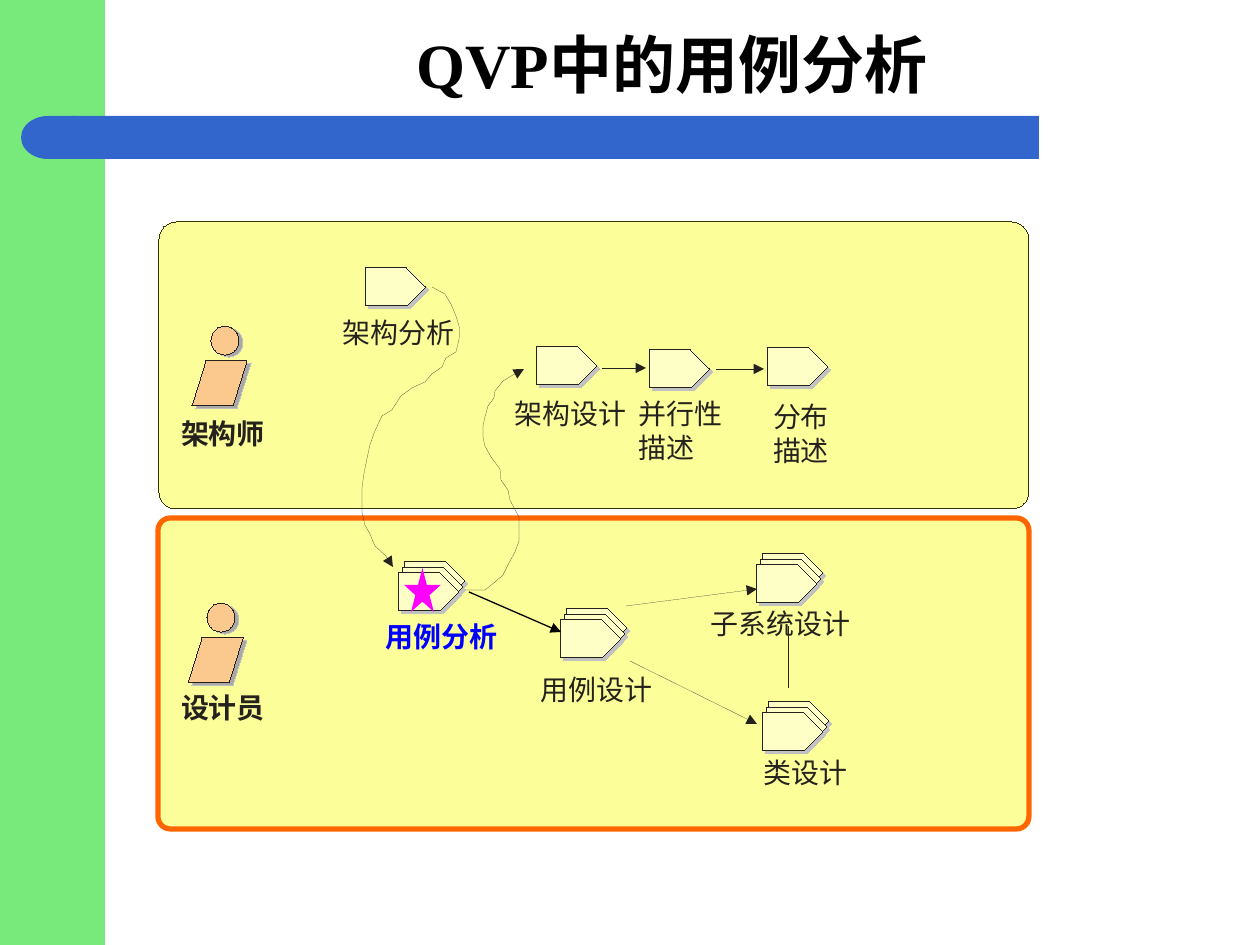
"""Build the slide on use-case analysis in QVP."""
from lxml.etree import SubElement
from pptx import Presentation
from pptx.dml.color import RGBColor as RGB
from pptx.enum.shapes import MSO_CONNECTOR as LINK, MSO_SHAPE as KIND
from pptx.enum.text import MSO_ANCHOR as ANCHOR, PP_ALIGN as ALIGN
from pptx.oxml.ns import qn
from pptx.util import Pt

PX = 914400 / 126
HEX = {"green": "78EA7B", "blue": "3366CC", "panel": "FCFE9A", "edge": "333300",
       "orange": "FF6600", "skin": "FBC88D", "dim": "A9A8A7", "gray": "C2C1C1",
       "ink": "25221E", "cream": "FDFFC7", "star": "FF00FF", "focus": "0000FF",
       "black": "000000"}
SANS, SERIF = "Noto Sans CJK SC", "Times New Roman"
TITLE = "QVP中的用例分析"

BARS = [(KIND.RECTANGLE, (0, 0, 105, 945), "green", 0),
        (KIND.RECTANGLE, (73, 116, 966, 43), "blue", 0),
        (KIND.FLOWCHART_DELAY, (21, 116, 54, 43), "blue", 180)]
PANELS = [((159, 222, 870, 287), "edge", 0, 0.06),
          ((158, 518, 871, 311), "orange", 3, 0.04)]
ROLES = [("架构师", (192, 326), (181, 416)), ("设计员", (188, 603), (181, 690))]
STEPS = [("架构分析", (366, 268), 1, (343, 315, 112)),
         ("架构设计", (537, 347), 1, (515, 396, 112)),
         ("并行性\n描述", (650, 350), 1, (639, 396, 84)),
         ("分布\n描述", (768, 348), 1, (773, 399, 56)),
         ("用例分析", (399, 573), 3, (386, 619, 112)),
         ("用例设计", (561, 620), 3, (541, 672, 112)),
         ("子系统设计", (757, 565), 3, (711, 606, 140)),
         ("类设计", (763, 713), 3, (764, 755, 84))]
STACK = [(0, 0), (4, -5), (6, -11)]
FOCUS = "用例分析"
STAR = (404, 568, 37, 44)
LINES = [((602, 368), (646, 368), "ink", 0, True),
         ((716, 369), (764, 369), "ink", 0, True),
         ((789, 688), (789, 627), "ink", 0, False),
         ((630, 661), (757, 724), "ink", 0, True),
         ((626, 606), (757, 589), "ink", 0, True),
         ((469, 592), (561, 632), "black", 0.75, True)]
CURVES = [
    [(432, 287), (445, 294), (451, 304), (456, 316), (460, 329), (459, 340),
     (456, 352), (446, 358), (442, 367), (432, 374), (425, 382), (412, 388),
     (401, 396), (392, 410), (382, 416), (375, 431), (370, 445), (367, 459),
     (364, 474), (362, 488), (362, 512), (365, 525), (370, 534), (375, 546),
     (386, 556), (393, 567)],
    [(466, 590), (485, 590), (495, 582), (503, 575), (509, 563), (515, 552),
     (519, 541), (519, 528), (519, 517), (510, 500), (508, 490), (501, 480),
     (500, 469), (491, 457), (485, 446), (483, 437), (483, 426), (485, 417),
     (488, 406), (494, 398), (495, 391), (503, 381), (513, 375), (524, 369)]]


def emu(*nums):
    return [round(n * PX) for n in nums]


def tint(name):
    return RGB.from_string(HEX[name])


def ink(line, hue, width, head=False):
    line.color.rgb = tint(hue)
    node = line._get_or_add_ln()
    node.set("w", str(int(Pt(width))))
    if head:
        SubElement(node, qn("a:tailEnd"), type="triangle")


def draw(kind, box, fill, edge=None, width=0, adj=None):
    shape = shapes.add_shape(kind, *emu(*box))
    shape.shadow.inherit = False
    shape.fill.solid()
    shape.fill.fore_color.rgb = tint(fill)
    if edge:
        ink(shape.line, edge, width)
    else:
        shape.line.fill.background()
    if adj is not None:
        shape.adjustments[0] = adj
    return shape


def write(frame, text, font=SANS, size=16, hue="ink", bold=False, align=ALIGN.LEFT,
          pitch=None):
    for i, words in enumerate(text.split("\n")):
        para = frame.paragraphs[0] if i == 0 else frame.add_paragraph()
        para.alignment = align
        if pitch:
            para.line_spacing = Pt(pitch)
        run = para.add_run()
        run.text = words
        run.font.name, run.font.size, run.font.bold = font, Pt(size), bold
        run.font.color.rgb = tint(hue)
        SubElement(run.font._element, qn("a:ea"), typeface=SANS)


def label(text, left, top, wide, **style):
    rows = text.count("\n") + 1
    frame = shapes.add_textbox(*emu(left, top, wide, 34 * rows)).text_frame
    frame.margin_left = frame.margin_right = frame.margin_top = frame.margin_bottom = 0
    frame.word_wrap = False
    write(frame, text, pitch=19.5, **style)


def person(x, y):
    for gap, fill, edge in ((4, "dim", "gray"), (0, "skin", "ink")):
        draw(KIND.OVAL, (x + 19 + gap, y + gap // 2, 28, 29), fill, edge)
        draw(KIND.PARALLELOGRAM, (x + gap, y + 35 + gap // 2, 55, 45), fill, edge,
             adj=0.31)


def step(x, y, count):
    for dx, dy in reversed(STACK[:count]):
        for gap, fill, edge in ((3, "gray", "gray"), (0, "cream", "ink")):
            draw(KIND.PENTAGON, (x + dx + gap, y + dy + gap, 60, 38), fill, edge,
                 adj=0.5)


def curve(points):
    path = shapes.build_freeform(*points[0], scale=PX)
    path.add_line_segments(points[1:], close=False)
    shape = path.convert_to_shape()
    shape.shadow.inherit = False
    shape.fill.background()
    ink(shape.line, "ink", 0, True)


def link(start, end, hue, width, head):
    wire = shapes.add_connector(LINK.STRAIGHT, *emu(*start, *end))
    ink(wire.line, hue, width, head)
    SubElement(wire._element.spPr, qn("a:effectLst"))


deck = Presentation()
deck.slide_width, deck.slide_height = emu(1260, 945)
slide = deck.slides.add_slide(deck.slide_layouts[5])
shapes = slide.shapes

title = shapes.title
title.left, title.top, title.width, title.height = emu(116, 21, 1112, 85)
title.text_frame.vertical_anchor = ANCHOR.MIDDLE
write(title.text_frame, TITLE, font=SERIF, size=36, hue="black", bold=True,
      align=ALIGN.CENTER)

for kind, box, fill, turn in BARS:
    draw(kind, box, fill).rotation = turn
for box, edge, width, adj in PANELS:
    draw(KIND.ROUNDED_RECTANGLE, box, "panel", edge, width, adj)
for name, spot, place in ROLES:
    person(*spot)
    label(name, *place, 84, bold=True)
for name, spot, count, place in STEPS:
    step(*spot, count)
    main = name == FOCUS
    label(name, *place, hue="focus" if main else "ink", bold=main)
for points in CURVES:
    curve(points)
for row in LINES:
    link(*row)
draw(KIND.STAR_5_POINT, STAR, "star")

deck.save("out.pptx")
